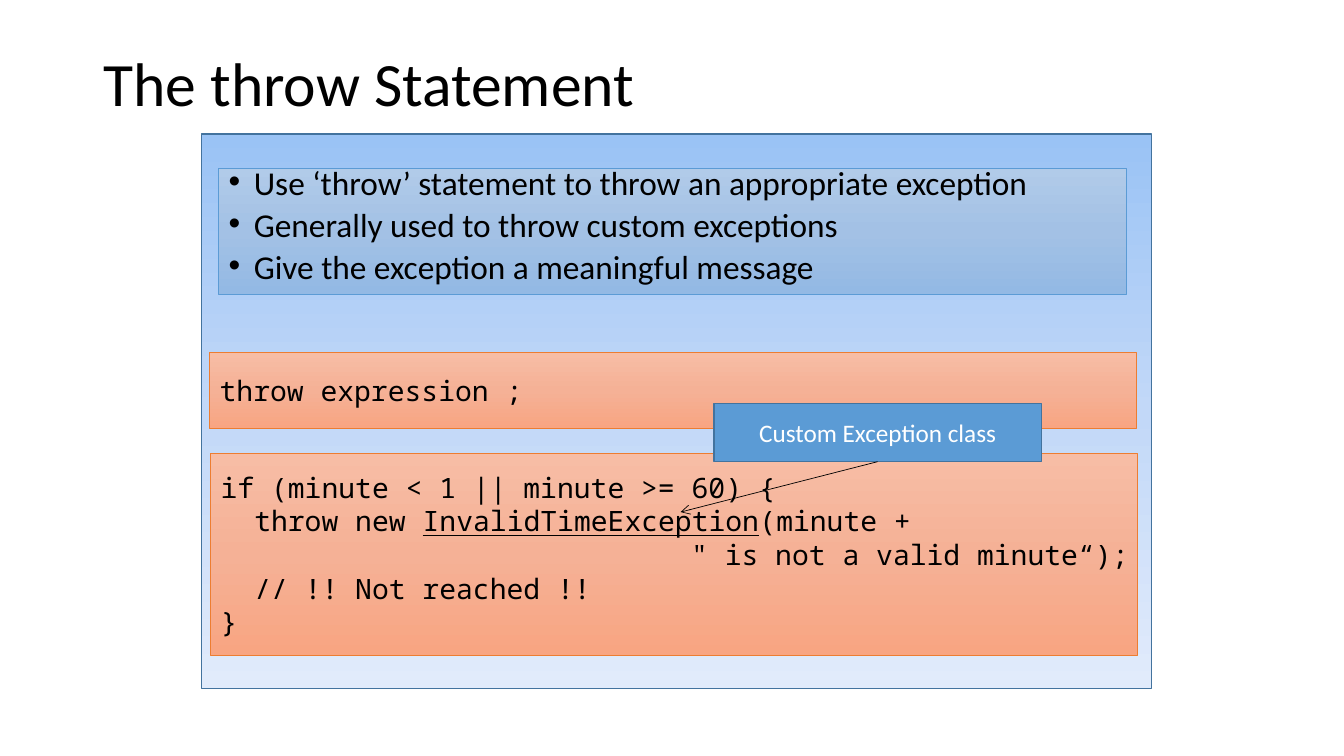
from copy import deepcopy
from dataclasses import dataclass

from pptx import Presentation
from pptx.dml.color import RGBColor
from pptx.enum.shapes import MSO_CONNECTOR, MSO_SHAPE
from pptx.enum.text import MSO_ANCHOR, PP_ALIGN
from pptx.oxml.ns import qn
from pptx.oxml.xmlchemy import OxmlElement
from pptx.util import Inches, Pt

RECTANGLE = MSO_SHAPE.RECTANGLE
STRAIGHT = MSO_CONNECTOR.STRAIGHT
TOP, MIDDLE = MSO_ANCHOR.TOP, MSO_ANCHOR.MIDDLE
LEFT, CENTER = PP_ALIGN.LEFT, PP_ALIGN.CENTER

BLACK = RGBColor(0x00, 0x00, 0x00)
WHITE = RGBColor(0xFF, 0xFF, 0xFF)
BLUE = RGBColor(0x5B, 0x9B, 0xD5)
DARK_BLUE = RGBColor(0x43, 0x73, 0x9E)
ORANGE = RGBColor(0xED, 0x7D, 0x31)
PANEL_FILL = (RGBColor(0x9A, 0xC3, 0xF5), RGBColor(0xC2, 0xD8, 0xF8), RGBColor(0xE1, 0xEB, 0xFB))
BULLET_FILL = (RGBColor(0xB1, 0xCB, 0xE9), RGBColor(0xA3, 0xC1, 0xE5), RGBColor(0x93, 0xB9, 0xE4))
CODE_FILL = (RGBColor(0xF7, 0xBD, 0xA5), RGBColor(0xF5, 0xB1, 0x96), RGBColor(0xF8, 0xA5, 0x82))

CODE_CHARACTER = Pt(12)  # advance of one 20 pt monospaced character


@dataclass(frozen=True)
class Box:
    left: float
    top: float
    width: float
    height: float
    fill: tuple[RGBColor, ...]
    line: RGBColor
    line_width: float


@dataclass(frozen=True)
class TextStyle:
    font: str
    size: float
    color: RGBColor = BLACK
    align: int = LEFT
    anchor: int = MIDDLE
    wrap: bool = True


@dataclass(frozen=True)
class CodeLine:
    runs: tuple[str, ...]
    indent: int = 0  # in characters


TITLE = TextStyle("Calibri", 44)
BULLETS = TextStyle("Calibri", 23.8, anchor=TOP)
CODE = TextStyle("Noto Sans Mono", 20, wrap=False)
CALLOUT = TextStyle("Calibri", 18, WHITE, CENTER)

PANEL_BOX = Box(2, 1.33, 9.42, 5.5, PANEL_FILL, DARK_BLUE, 1)
BULLET_BOX = Box(2.17, 1.67, 9, 1.25, BULLET_FILL, BLUE, 0.5)
SYNTAX_BOX = Box(2.08, 3.5, 9.19, 0.75, CODE_FILL, ORANGE, 0.5)
EXAMPLE_BOX = Box(2.09, 4.5, 9.19, 2, CODE_FILL, ORANGE, 0.5)
CALLOUT_BOX = Box(7.08, 4, 3.25, 0.58, (BLUE,), DARK_BLUE, 1)

BULLET_TEXTS = (
    "Use ‘throw’ statement to throw an appropriate exception",
    "Generally used to throw custom exceptions",
    "Give the exception a meaningful message",
)
EXCEPTION_CLASS = "InvalidTimeException"
SYNTAX = (CodeLine(("throw expression ;",)),)
EXAMPLE = (
    CodeLine(("if (minute < 1 || minute >= 60) {",)),
    CodeLine(("throw new ", EXCEPTION_CLASS, "(minute + "), 2),
    CodeLine(('" is not a valid minute“);',), 28),
    CodeLine(("// !! Not reached !!",), 2),
    CodeLine(("}",)),
)


def fill_gradient(shape, colors: tuple[RGBColor, ...]) -> None:
    """Fill from top to bottom with evenly spaced colours."""
    shape.fill.gradient()
    shape.fill.gradient_angle = 270
    stop_list = shape._element.spPr.find(qn("a:gradFill")).find(qn("a:gsLst"))
    stop_list.insert(1, deepcopy(stop_list[0]))
    for index, (stop, color) in enumerate(zip(shape.fill.gradient_stops, colors)):
        stop.color.rgb = color
        stop.position = index / (len(colors) - 1)


def add_box(slide, box: Box):
    shape = slide.shapes.add_shape(
        RECTANGLE, Inches(box.left), Inches(box.top), Inches(box.width), Inches(box.height)
    )
    shape.shadow.inherit = False
    if len(box.fill) > 1:
        fill_gradient(shape, box.fill)
    else:
        shape.fill.solid()
        shape.fill.fore_color.rgb = box.fill[0]
    shape.line.color.rgb = box.line
    shape.line.width = Pt(box.line_width)
    return shape


def write_text(shape, text: str, style: TextStyle) -> None:
    text_frame = shape.text_frame
    text_frame.text = text
    text_frame.word_wrap = style.wrap
    text_frame.vertical_anchor = style.anchor
    for paragraph in text_frame.paragraphs:
        paragraph.alignment = style.align
        for run in paragraph.runs:
            format_run(run, style)


def format_run(run, style: TextStyle) -> None:
    run.font.name = style.font
    run.font.size = Pt(style.size)
    run.font.color.rgb = style.color


def add_bullets(shape) -> None:
    write_text(shape, "\n".join(BULLET_TEXTS), BULLETS)
    for paragraph in shape.text_frame.paragraphs:
        paragraph.line_spacing = 0.7
        paragraph.space_before = Pt(10)
        properties = paragraph._p.get_or_add_pPr()
        properties.set("marL", str(Inches(0.25)))
        properties.set("indent", str(-Inches(0.25)))
        font = OxmlElement("a:buFont")
        font.set("typeface", "Arial")
        bullet = OxmlElement("a:buChar")
        bullet.set("char", "•")
        properties.extend((font, bullet))


def add_code(slide, box: Box, lines: tuple[CodeLine, ...]) -> None:
    shape = add_box(slide, box)
    write_text(shape, "\n".join(line.runs[0] for line in lines), CODE)
    for paragraph, line in zip(shape.text_frame.paragraphs, lines):
        if line.indent:
            paragraph._p.get_or_add_pPr().set("marL", str(line.indent * CODE_CHARACTER))
        for text in line.runs[1:]:
            run = paragraph.add_run()
            run.text = text
            format_run(run, CODE)
            run.font.underline = text == EXCEPTION_CLASS


def add_arrow(slide, start: tuple[float, float], end: tuple[float, float]) -> None:
    arrow = slide.shapes.add_connector(STRAIGHT, *map(Inches, start + end))
    arrow.line.color.rgb = BLACK
    arrow.line.width = Pt(0.5)
    head = OxmlElement("a:tailEnd")
    head.set("type", "arrow")
    arrow.line._get_or_add_ln().append(head)
    arrow._element.spPr.append(OxmlElement("a:effectLst"))


presentation = Presentation()
presentation.slide_width = Inches(13.33)
presentation.slide_height = Inches(7.5)
slide = presentation.slides.add_slide(presentation.slide_layouts[6])

# Background panel and title
add_box(slide, PANEL_BOX)
title = slide.shapes.add_textbox(Inches(0.93), Inches(0.13), Inches(11.5), Inches(1.45))
write_text(title, "The throw Statement", TITLE)
title.text_frame.paragraphs[0].line_spacing = 0.9

# Bullets and code
add_bullets(add_box(slide, BULLET_BOX))
add_code(slide, SYNTAX_BOX, SYNTAX)
add_code(slide, EXAMPLE_BOX, EXAMPLE)

# Callout pointing at the exception class
write_text(add_box(slide, CALLOUT_BOX), "Custom Exception class", CALLOUT)
callout_bottom = (CALLOUT_BOX.left + CALLOUT_BOX.width / 2, CALLOUT_BOX.top + CALLOUT_BOX.height)
add_arrow(slide, callout_bottom, (6.75, 5.08))

presentation.save("out.pptx")
